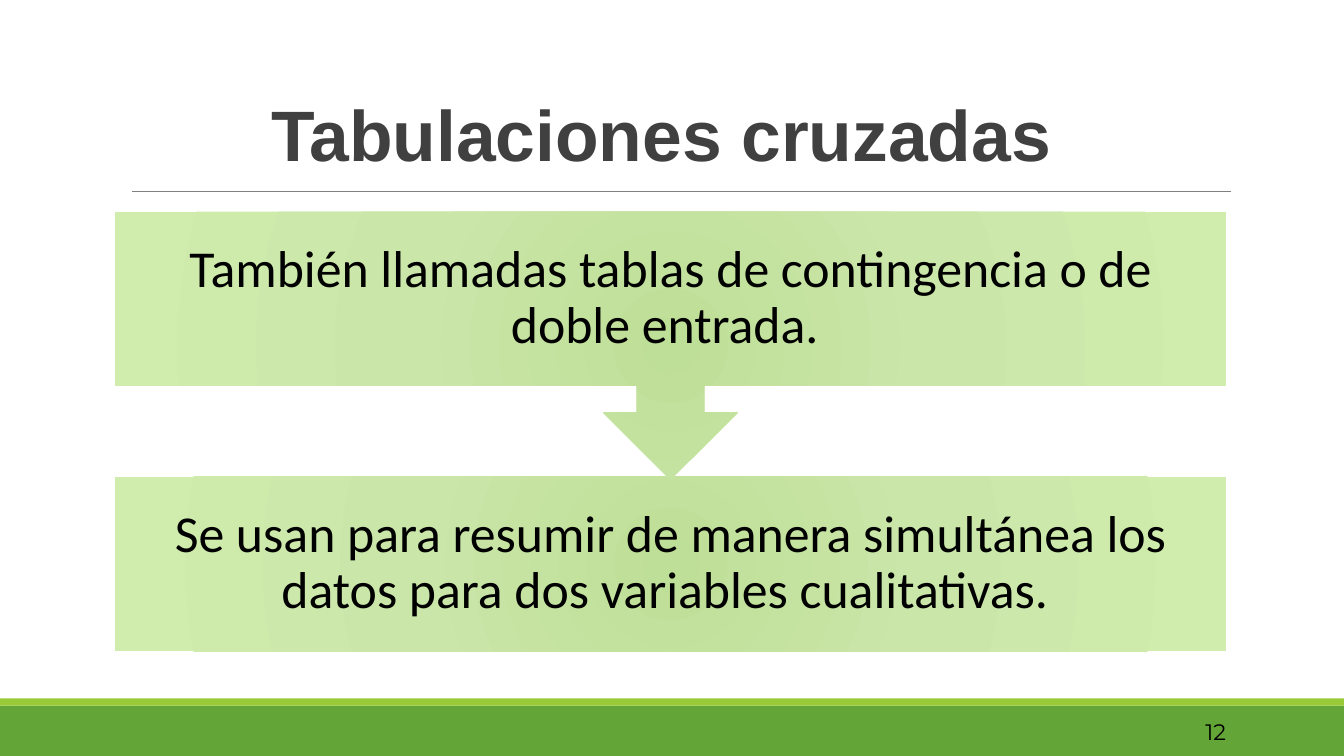
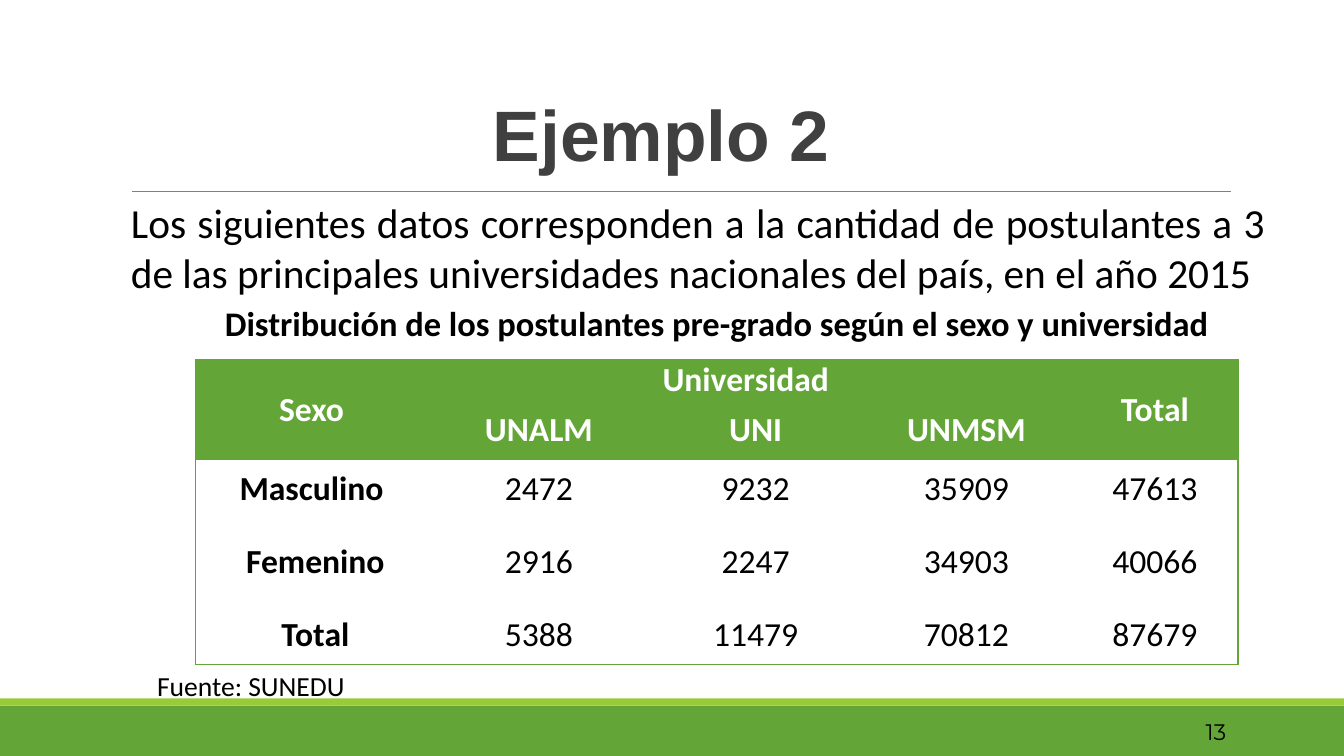
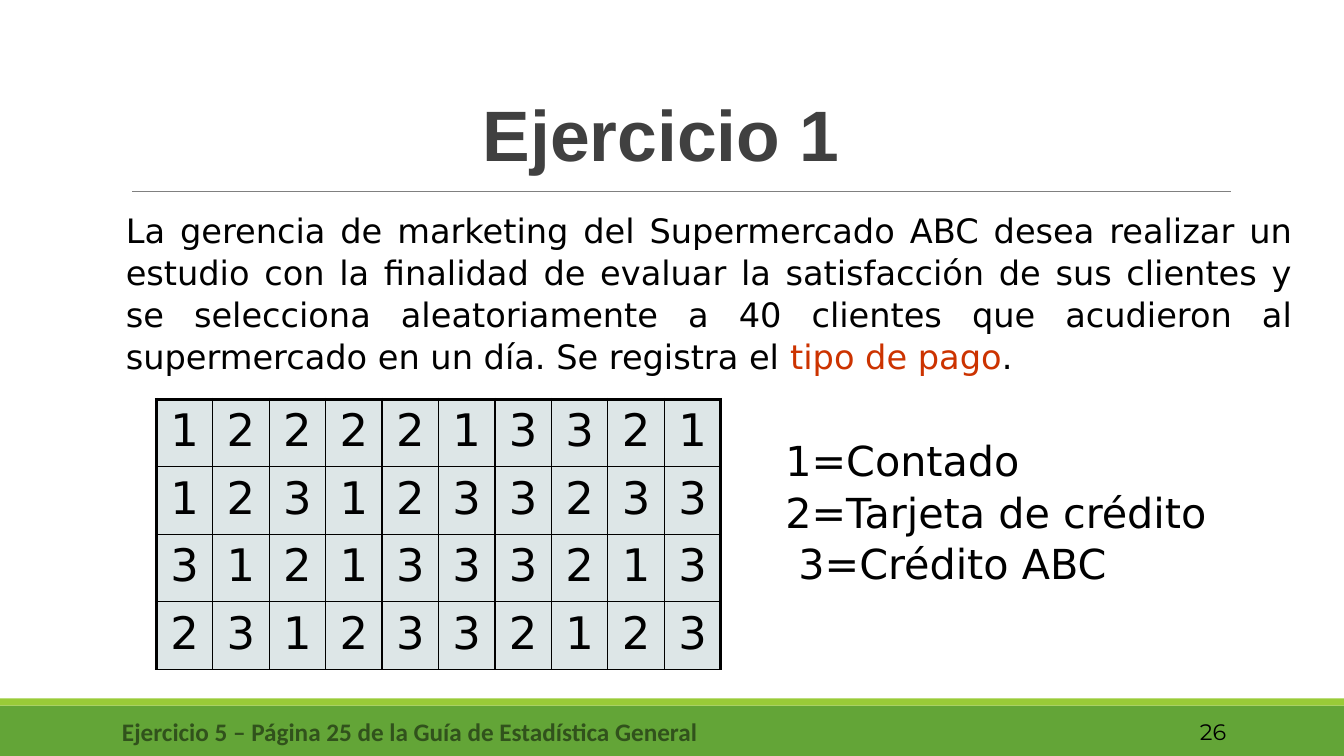
from dataclasses import dataclass, field
from typing import Any, Optional

from lxml import etree
from pptx import Presentation, util as u
from pptx.dml.color import RGBColor
from pptx.enum import shapes, text
from pptx.oxml.ns import qn

PX = 9144  # EMU in one px, 100 px to the inch
WIDTH, HEIGHT = 1333, 750
GREEN, LIME, GREY, BLACK, WHITE = "63A537", "99CB38", "808080", "000000", "FFFFFF"
DARK_GREY, DARK_GREEN, RED, PALE_BLUE = "404040", "31521C", "CC3300", "DDE6E7"
GRADIENT = ((0, "BEDF97"), (45, "CAE6A9"), (100, "D0EDAE"))
NO_GRID_STYLE = "{2D5ABB26-0587-4C30-8999-92F81FD0307C}"
ALIGN = {
    "left": text.PP_ALIGN.LEFT,
    "center": text.PP_ALIGN.CENTER,
    "right": text.PP_ALIGN.RIGHT,
    "justify": text.PP_ALIGN.JUSTIFY,
}
TOP, MIDDLE = text.MSO_ANCHOR.TOP, text.MSO_ANCHOR.MIDDLE


@dataclass(frozen=True)
class Box:
    left: int
    top: int
    width: int
    height: int

    def emu(self) -> tuple[int, ...]:
        return tuple(px(n) for n in (self.left, self.top, self.width, self.height))


@dataclass(frozen=True)
class Style:
    size: float
    font: str = "Calibri"
    color: str = BLACK
    bold: bool = False
    align: str = "left"
    spacing: Optional[float] = None


@dataclass(frozen=True)
class Line:
    """A paragraph: its runs, each with an optional colour of its own."""
    runs: tuple[tuple[str, Optional[str]], ...]
    indent: int = 0


@dataclass(frozen=True)
class Grid:
    box: Box
    columns: list[int]
    rows: list[int]
    margins: tuple[int, int]
    anchor: Any
    edges: dict[str, float]
    edge_color: str
    inner: float = 0
    merges: list[tuple[int, int, int, int]] = field(default_factory=list)


TITLE = Style(51, "Arial", DARK_GREY, True, "center")
NUMBER = Style(16, "Montserrat", align="right")
STATEMENT = Style(37, align="center", spacing=0.9)
INTRO = Style(29.5, align="justify")
CAPTION = Style(24.6, bold=True, align="center")
SOURCE = Style(19.7)
HEADER_CELL = Style(24, color=WHITE, bold=True, align="center")
LABEL_CELL = Style(24, bold=True, align="center")
VALUE_CELL = Style(24, align="center")
CASE = Style(24, "DejaVu Sans", align="justify", spacing=1.04)
DIGIT_CELL = Style(32, "DejaVu Sans", align="center")
LEGEND = Style(29.5, "DejaVu Sans", spacing=1.04)
FOOTER = Style(18, color=DARK_GREEN, bold=True, align="center")


def px(length: int) -> int:
    return u.Emu(length * PX)


def rgb(color: str) -> RGBColor:
    return RGBColor.from_string(color)


def assign(target: Any, values: dict[str, Any]) -> None:
    for name, value in values.items():
        setattr(target, name, value)


def plain(content: str, indent: int = 0) -> Line:
    return Line(((content, None),), indent)


def write(frame: Any, lines: list[Line], style: Style) -> None:
    for index, line in enumerate(lines):
        paragraph = frame.add_paragraph() if index else frame.paragraphs[0]
        paragraph.alignment = ALIGN[style.align]
        if style.spacing:
            paragraph.line_spacing = style.spacing
        if line.indent:
            paragraph._p.get_or_add_pPr().set("marL", str(px(line.indent)))
        for content, color in line.runs:
            run = paragraph.add_run()
            run.text = content
            assign(run.font, {"name": style.font, "size": u.Pt(style.size), "bold": style.bold})
            run.font.color.rgb = rgb(color or style.color)


def fit_frame(frame: Any, margins: tuple[int, int], anchor: Any) -> None:
    across, down = map(px, margins)
    assign(frame, {
        "word_wrap": True, "vertical_anchor": anchor,
        "margin_left": across, "margin_right": across,
        "margin_top": down, "margin_bottom": down,
    })


def add_text(slide: Any, box: Box, lines: list[Line], style: Style,
             anchor: Any = TOP, margins: tuple[int, int] = (10, 5)) -> None:
    frame = slide.shapes.add_textbox(*box.emu()).text_frame
    fit_frame(frame, margins, anchor)
    write(frame, lines, style)


def add_shape(slide: Any, kind: Any, box: Box) -> Any:
    shape = slide.shapes.add_shape(kind, *box.emu())
    shape.shadow.inherit = False
    shape.line.fill.background()
    return shape


def add_band(slide: Any, box: Box, color: str) -> None:
    band = add_shape(slide, shapes.MSO_SHAPE.RECTANGLE, box)
    band.fill.solid()
    band.fill.fore_color.rgb = rgb(color)


def fill_from_centre(shape: Any, stops: tuple[tuple[int, str], ...]) -> None:
    shape.fill.gradient()
    gradient = shape._element.spPr.find(qn("a:gradFill"))
    for child in list(gradient):
        gradient.remove(child)
    stop_list = etree.SubElement(gradient, qn("a:gsLst"))
    for percent, color in stops:
        stop = etree.SubElement(stop_list, qn("a:gs"), pos=str(percent * 1000))
        etree.SubElement(stop, qn("a:srgbClr"), val=color)
    circle = etree.SubElement(gradient, qn("a:path"), path="circle")
    etree.SubElement(circle, qn("a:fillToRect"), {side: "50000" for side in "ltrb"})


def add_statement(slide: Any, kind: Any, box: Box, content: str) -> None:
    shape = add_shape(slide, kind, box)
    fill_from_centre(shape, GRADIENT)
    fit_frame(shape.text_frame, (29, 29), MIDDLE)
    write(shape.text_frame, [plain(content)], STATEMENT)


def set_borders(cell: Any, widths: dict[str, float], color: str) -> None:
    properties = cell._tc.get_or_add_tcPr()
    drawn = [side for side in "LRTB" if widths.get(side)]
    for index, side in enumerate(drawn):
        border = etree.Element(qn(f"a:ln{side}"), w=str(u.Pt(widths[side])))
        fill = etree.SubElement(border, qn("a:solidFill"))
        etree.SubElement(fill, qn("a:srgbClr"), val=color)
        properties.insert(index, border)


def add_table(slide: Any, grid: Grid, cells: list[list[str]], look: Any) -> None:
    """look(row, column) gives the style and the fill colour of a cell."""
    row_count, column_count = len(grid.rows), len(grid.columns)
    table = slide.shapes.add_table(row_count, column_count, *grid.box.emu()).table
    table._tbl.tblPr.find(qn("a:tableStyleId")).text = NO_GRID_STYLE
    assign(table, {"first_row": False, "horz_banding": False})
    for column, width in zip(table.columns, grid.columns):
        column.width = px(width)
    for row, height in zip(table.rows, grid.rows):
        row.height = px(height)
    for top, left, bottom, right in grid.merges:
        table.cell(top, left).merge(table.cell(bottom, right))
    across, down = map(px, grid.margins)
    for r, contents in enumerate(cells):
        for c, content in enumerate(contents):
            cell = table.cell(r, c)
            style, color = look(r, c)
            assign(cell, {
                "margin_left": across, "margin_right": across,
                "margin_top": down, "margin_bottom": down,
                "vertical_anchor": grid.anchor,
            })
            if color:
                cell.fill.solid()
                cell.fill.fore_color.rgb = rgb(color)
            else:
                cell.fill.background()
            outer = {"L": c == 0, "R": c == column_count - 1,
                     "T": r == 0, "B": r == row_count - 1}
            widths = {side: grid.edges[side] if on_edge else grid.inner
                      for side, on_edge in outer.items()}
            set_borders(cell, widths, grid.edge_color)
            if content:
                write(cell.text_frame, [plain(content)], style)


def add_slide(presentation: Any, title: str, number: int) -> Any:
    """A slide with the shared bands, rule, title and page number."""
    slide = presentation.slides.add_slide(presentation.slide_layouts[6])
    add_band(slide, Box(0, 700, WIDTH, 50), GREEN)
    add_band(slide, Box(0, 693, WIDTH, 7), LIME)
    rule = slide.shapes.add_connector(
        shapes.MSO_CONNECTOR.STRAIGHT, px(131), px(190), px(1221), px(190))
    rule.line.color.rgb = rgb(GREY)
    rule.line.width = u.Pt(0.5)
    etree.SubElement(rule._element.spPr, qn("a:effectLst"))
    add_text(slide, Box(1083, 706, 143, 40), [plain(str(number))], NUMBER, MIDDLE)
    add_text(slide, Box(149, 84, 1014, 89), [plain(title)], TITLE, margins=(0, 5))
    return slide


def add_cross_tabulation_slide(presentation: Any) -> None:
    slide = add_slide(presentation, "Tabulaciones cruzadas", 12)
    add_statement(slide, shapes.MSO_SHAPE.RECTANGLE, Box(114, 473, 1102, 173),
                  "Se usan para resumir de manera simultánea los datos "
                  "para dos variables cualitativas. ")
    add_statement(slide, shapes.MSO_SHAPE.DOWN_ARROW_CALLOUT, Box(114, 210, 1102, 266),
                  "También llamadas tablas de contingencia o de doble entrada. ")


def add_example_slide(presentation: Any) -> None:
    slide = add_slide(presentation, "Ejemplo 2", 13)
    add_text(slide, Box(120, 191, 1145, 131), [plain(
        "Los siguientes datos corresponden a la cantidad de postulantes a 3 de las "
        "principales universidades nacionales del país, en el año 2015")], INTRO)
    grid = Grid(
        Box(194, 357, 1034, 302), [230, 221, 209, 209, 165], [41, 58, 58, 87, 58],
        margins=(6, 0), anchor=MIDDLE, edges=dict.fromkeys("LRTB", 1), edge_color=GREEN,
        merges=[(0, 0, 1, 0), (0, 1, 0, 3), (0, 4, 1, 4)])
    cells = [
        ["Sexo", "Universidad ", "", "", "Total"],
        ["", "UNALM", "UNI", "UNMSM", ""],
        ["Masculino", "2472", "9232", "35909", "47613"],
        [" Femenino", "2916", "2247", "34903", "40066"],
        [" Total", "5388", "11479", "70812", "87679"],
    ]

    def look(row: int, column: int) -> tuple[Style, Optional[str]]:
        if row < 2:
            return HEADER_CELL, GREEN
        return (VALUE_CELL if column else LABEL_CELL), None

    add_table(slide, grid, cells, look)
    add_text(slide, Box(120, 295, 1182, 52), [plain(
        "Distribución de los postulantes pre-grado según el sexo y universidad")], CAPTION)
    add_text(slide, Box(146, 659, 667, 43), [plain("Fuente: SUNEDU")], SOURCE)


def add_exercise_slide(presentation: Any) -> None:
    slide = add_slide(presentation, "Ejercicio 1", 26)
    case = Line((
        ("La gerencia de marketing del Supermercado ABC desea realizar un estudio con la "
         "finalidad de evaluar la satisfacción de sus clientes y se selecciona "
         "aleatoriamente a 40 clientes que acudieron al supermercado en un día. "
         "Se registra el ", None),
        ("tipo de pago", RED),
        (".", None),
    ))
    add_text(slide, Box(115, 202, 1177, 174), [case], CASE)
    payments = ["1222213321", "1231233233", "3121333213", "2312332123"]
    grid = Grid(
        Box(155, 396, 560, 268), [56] * 10, [67] * 4, margins=(12, 6), anchor=TOP,
        edges={"L": 2.25, "R": 2.25, "T": 2.25, "B": 1}, edge_color=BLACK, inner=1)
    add_table(slide, grid, [list(row) for row in payments],
              lambda row, column: (DIGIT_CELL, PALE_BLUE))
    add_text(slide, Box(769, 425, 480, 159), [
        plain("1=Contado"), plain("2=Tarjeta de crédito"), plain("3=Crédito ABC", 13)], LEGEND)
    add_text(slide, Box(107, 706, 599, 40), [plain(
        "Ejercicio 5 – Página 25 de la Guía de Estadística General")], FOOTER, MIDDLE)


def main() -> None:
    presentation = Presentation()
    assign(presentation, {"slide_width": px(WIDTH), "slide_height": px(HEIGHT)})
    add_cross_tabulation_slide(presentation)
    add_example_slide(presentation)
    add_exercise_slide(presentation)
    presentation.save("out.pptx")


if __name__ == "__main__":
    main()
